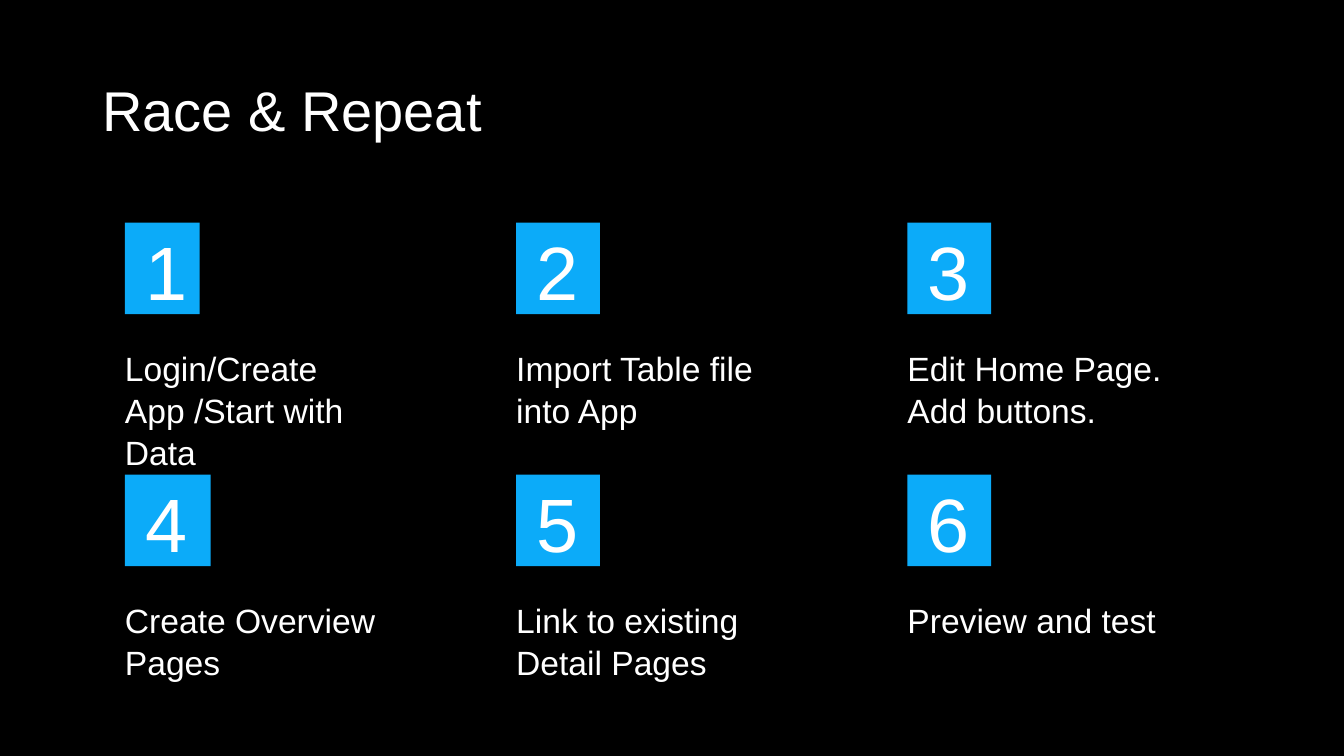
from pptx import Presentation
from pptx.dml.color import RGBColor
from pptx.enum.shapes import MSO_SHAPE
from pptx.enum.text import MSO_ANCHOR, MSO_AUTO_SIZE, PP_ALIGN
from pptx.util import Cm, Pt

COLORS = {"background": "000000", "number": "0CABF9", "text": "FFFFFF"}
FONT = "Arial"
COLUMNS = 3
STEPS = [
    ("Login/Create App /Start with Data", 1.88),
    ("Import Table file into App", 2.11),
    ("Edit Home Page. Add buttons.", 2.11),
    ("Create Overview Pages", 2.16),
    ("Link to existing Detail Pages", 2.11),
    ("Preview and test", 2.11),
]


def color(name):
    return RGBColor.from_string(COLORS[name])


def write_text(shape, text, size, line_spacing, space_before, anchor, margins):
    frame = shape.text_frame
    frame.word_wrap = True
    frame.vertical_anchor = anchor
    horizontal, vertical = margins
    frame.margin_left = frame.margin_right = Cm(horizontal)
    frame.margin_top = frame.margin_bottom = Cm(vertical)
    paragraph = frame.paragraphs[0]
    paragraph.alignment = PP_ALIGN.LEFT
    paragraph.line_spacing = line_spacing
    paragraph.space_before = Pt(space_before)
    run = paragraph.add_run()
    run.text = text
    run.font.name = FONT
    run.font.size = Pt(size)
    run.font.color.rgb = color("text")


def add_title(slide, text):
    title = slide.shapes.add_textbox(Cm(2.33), Cm(1.01), Cm(29.21), Cm(3.68))
    write_text(title, text, 40, 0.9, 0, MSO_ANCHOR.MIDDLE, (0.25, 0.13))


def add_number(slide, number, left, top, width):
    square = slide.shapes.add_shape(
        MSO_SHAPE.RECTANGLE, Cm(left), Cm(top), Cm(width), Cm(2.31)
    )
    square.shadow.inherit = False
    square.fill.solid()
    square.fill.fore_color.rgb = color("number")
    square.line.fill.background()
    write_text(square, str(number), 54, 1.05, 10, MSO_ANCHOR.MIDDLE, (0.51, 0))
    square.text_frame.auto_size = MSO_AUTO_SIZE.SHAPE_TO_FIT_TEXT


def add_description(slide, text, left, top):
    description = slide.shapes.add_textbox(Cm(left), Cm(top), Cm(7.5), Cm(2.54))
    write_text(description, text, 24, 1.05, 10, MSO_ANCHOR.TOP, (0, 0.13))


def main():
    presentation = Presentation()
    presentation.slide_width = Cm(33.87)
    presentation.slide_height = Cm(19.05)
    slide = presentation.slides.add_slide(presentation.slide_layouts[6])
    slide.background.fill.solid()
    slide.background.fill.fore_color.rgb = color("background")
    add_title(slide, "Race & Repeat")
    for index, (text, width) in enumerate(STEPS):
        row, column = divmod(index, COLUMNS)
        left = 3.15 + column * 9.86
        top = 5.61 + row * 6.35
        add_number(slide, index + 1, left, top, width)
        add_description(slide, text, left, top + 2.97)
    presentation.save("out.pptx")


if __name__ == "__main__":
    main()
